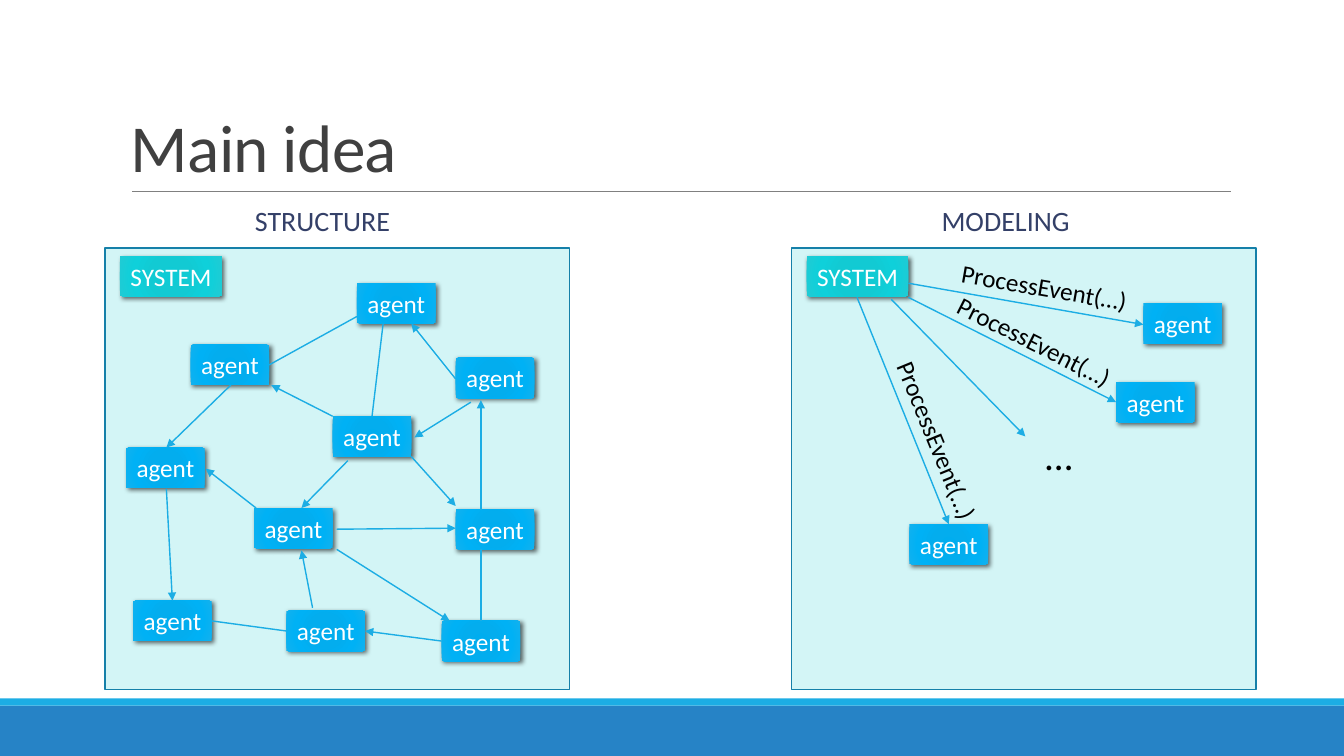
from pptx import Presentation
from pptx.dml.color import RGBColor
from pptx.enum import shapes, text
from pptx.oxml import parse_xml
from pptx.oxml.ns import qn
from pptx.util import Inches, Pt
from lxml import etree

# Content
TITLE = "Main idea"
HEADINGS = [("STRUCTURE", 2.43), ("MODELING", 9.24)]
PANEL_LEFTS = [1.04, 7.85]
STRUCTURE_AGENTS = [
    (3.54, 2.81), (1.89, 3.42), (3.3, 4.13), (1.25, 4.44), (4.52, 3.55),
    (2.52, 5.04), (4.52, 5.05), (1.32, 5.96), (2.84, 6.06), (4.38, 6.16),
]
MODELING_AGENTS = [(11.34, 3.01), (11.07, 3.79), (9.02, 5.2)]
PLAIN_LINKS = [
    (2.67, 3.62, 3.54, 3.14), (3.8, 3.21, 3.69, 4.13),
    (4.77, 5.45, 4.77, 6.16), (2.1, 6.16, 2.84, 6.26),
]
STRUCTURE_ARROWS = [
    (3.45, 4.57, 2.99, 5.04), (4.77, 5.06, 4.77, 3.97), (4.52, 3.76, 4.08, 3.21),
    (3.34, 5.25, 4.52, 5.24), (3.34, 5.45, 4.46, 6.16), (4.38, 6.36, 3.62, 6.26),
    (3.1, 6.03, 2.99, 5.46), (1.65, 4.85, 1.71, 5.96), (2.54, 5.04, 2.04, 4.65),
    (2.29, 3.82, 1.65, 4.44), (3.3, 4.13, 2.69, 3.82), (4.67, 3.99, 4.11, 4.34),
    (4.08, 4.53, 4.52, 5.02),
]
MODELING_ARROWS = [
    (9.01, 2.81, 11.34, 3.22), (9.01, 2.95, 11.07, 3.99),
    (8.5, 2.95, 9.41, 5.2), (8.84, 2.97, 10.17, 4.33),
]
EVENT = "ProcessEvent(…)"
EVENT_LABELS = [(9.43, 2.65, 9.9), (9.33, 3.19, 26.7), (8.36, 4.18, 67.7)]

# Style
FONT = "Calibri"
WHITE = RGBColor(0xFF, 0xFF, 0xFF)
BLACK = RGBColor(0, 0, 0)
TITLE_GREY = RGBColor(0x40, 0x40, 0x40)
RULE_GREY = RGBColor(0x80, 0x80, 0x80)
HEADING_NAVY = RGBColor(0x34, 0x40, 0x68)
FOOTER_BLUE = RGBColor(0x26, 0x83, 0xC6)
ACCENT_BLUE = RGBColor(0x1C, 0xAD, 0xE4)
PANEL_FILL = RGBColor(0xD3, 0xF5, 0xF6)
PANEL_EDGE = RGBColor(0x15, 0x80, 0xA9)
STOPS = [0, 34, 70, 100]
SYSTEM_SHADES = [RGBColor.from_string(c) for c in ("0ECBD5", "12CAD3", "0FD0DA", "20CBD4")]
AGENT_SHADES = [RGBColor.from_string(c) for c in ("00ADEF", "03ADEE", "00B1F5", "12B1EE")]
XMLNS = 'xmlns:a="http://schemas.openxmlformats.org/drawingml/2006/main"'

deck = Presentation()
deck.slide_width, deck.slide_height = Inches(13.33), Inches(7.5)
slide = deck.slides.add_slide(deck.slide_layouts[6])


def write(shape, words, size, color, anchor=text.MSO_ANCHOR.TOP, wrap=True):
    frame = shape.text_frame
    frame.word_wrap = wrap
    frame.vertical_anchor = anchor
    paragraph = frame.paragraphs[0]
    paragraph.text = words
    font = paragraph.font
    font.name, font.size, font.color.rgb = FONT, Pt(size), color
    return paragraph


def add_text(words, left, top, width, height, size, color, **layout):
    box = slide.shapes.add_textbox(*map(Inches, (left, top, width, height)))
    return box, write(box, words, size, color, **layout)


def add_rect(left, top, width, height, fill, edge=None):
    rect = slide.shapes.add_shape(shapes.MSO_SHAPE.RECTANGLE,
                                  *map(Inches, (left, top, width, height)))
    rect.shadow.inherit = False
    rect.fill.solid()
    rect.fill.fore_color.rgb = fill
    if edge is None:
        rect.line.fill.background()
    else:
        rect.line.color.rgb, rect.line.width = edge, Pt(1.25)
    return rect


def add_node(words, left, top, width, shades):
    node = add_rect(left, top, width, 0.4, shades[0])
    # Radial gradient and soft shadow
    properties = node._element.spPr
    stops = "".join(f'<a:gs pos="{pos * 1000}"><a:srgbClr val="{shade}"/></a:gs>'
                    for pos, shade in zip(STOPS, shades))
    gradient = parse_xml(
        f'<a:gradFill {XMLNS} rotWithShape="1"><a:gsLst>{stops}</a:gsLst><a:path path="circle">'
        '<a:fillToRect l="100000" t="100000" r="100000" b="100000"/></a:path></a:gradFill>')
    properties.replace(properties.find(qn("a:solidFill")), gradient)
    properties.find(qn("a:effectLst")).append(parse_xml(
        f'<a:outerShdw {XMLNS} blurRad="{Pt(3.5)}" dist="{Pt(2)}" dir="2700000" '
        'rotWithShape="0"><a:srgbClr val="000000"><a:alpha val="60000"/></a:srgbClr></a:outerShdw>'))
    write(node, words, 18, WHITE, wrap=False).alignment = text.PP_ALIGN.CENTER


def add_line(ends, color=ACCENT_BLUE, width=1, arrow=False):
    line = slide.shapes.add_connector(shapes.MSO_CONNECTOR.STRAIGHT, *map(Inches, ends))
    line.line.color.rgb, line.line.width = color, Pt(width)
    if arrow:
        etree.SubElement(line.line._get_or_add_ln(), qn("a:tailEnd"), type="triangle")
    etree.SubElement(line._element.spPr, qn("a:effectLst"))


# Footer bands, title and rule
add_rect(0, 7, 13.33, 0.5, FOOTER_BLUE)
add_rect(0, 6.93, 13.33, 0.07, ACCENT_BLUE)
add_line((1.31, 1.9, 12.21, 1.9), RULE_GREY, 0.5)
_, title = add_text(TITLE, 1.2, 0.31, 11, 1.59, 48, TITLE_GREY, anchor=text.MSO_ANCHOR.BOTTOM)
title.line_spacing = 0.85
title.runs[0].font._element.set("spc", "-50")

# Headings, panels and system nodes
for heading, left in HEADINGS:
    _, paragraph = add_text(heading, left, 1.92, 1.83, 0.58, 20, HEADING_NAVY,
                            anchor=text.MSO_ANCHOR.MIDDLE)
    paragraph.line_spacing = 0.9
for left in PANEL_LEFTS:
    add_rect(left, 2.46, 4.61, 4.38, PANEL_FILL, PANEL_EDGE)
    add_node("SYSTEM", left + 0.15, 2.54, 1.01, SYSTEM_SHADES)

# Agents and their links
for left, top in STRUCTURE_AGENTS + MODELING_AGENTS:
    add_node("agent", left, top, 0.78, AGENT_SHADES)
for ends in PLAIN_LINKS:
    add_line(ends)
for ends in STRUCTURE_ARROWS + MODELING_ARROWS:
    add_line(ends, arrow=True)

# Event labels along the arrows
for left, top, angle in EVENT_LABELS:
    label, _ = add_text(EVENT, left, top, 1.88, 0.4, 18, BLACK, wrap=False)
    label.rotation = angle
add_text("…", 10.27, 4.23, 0.47, 0.57, 28, BLACK, wrap=False)

deck.save("out.pptx")
